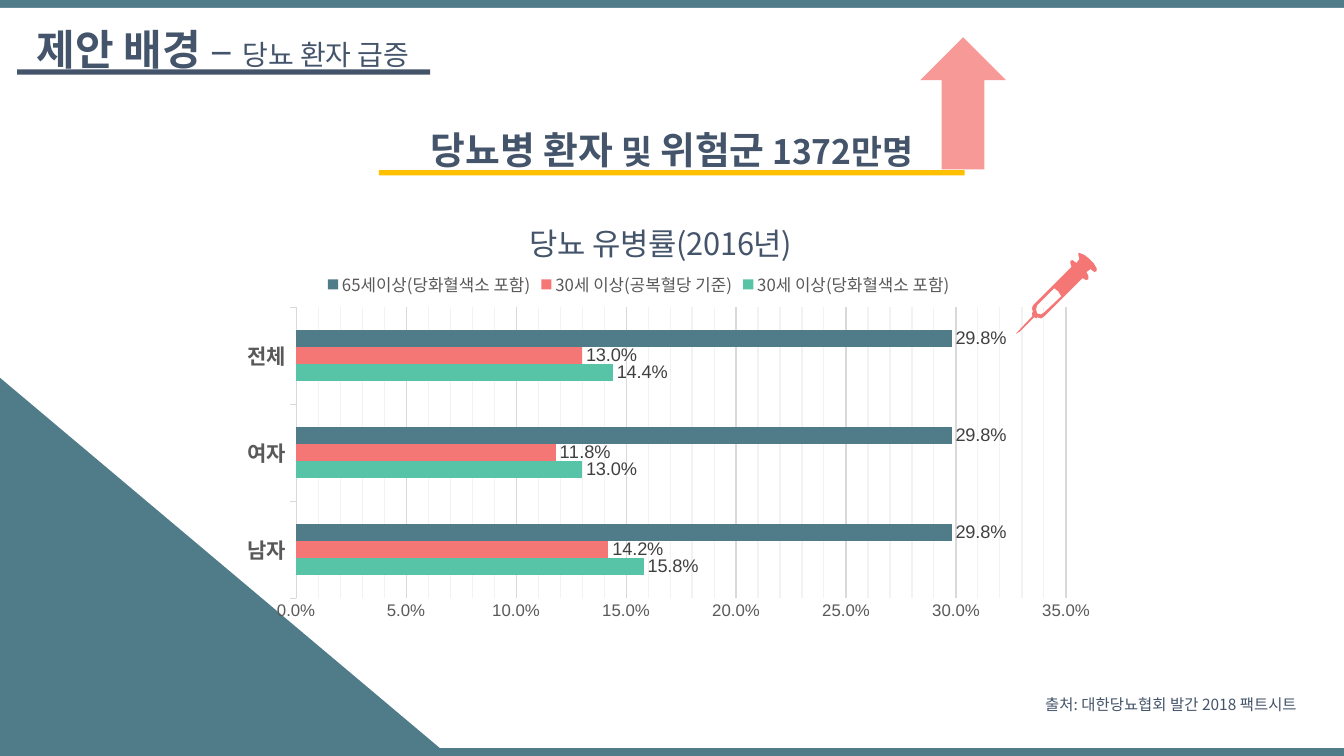
from copy import deepcopy

from lxml import etree
from pptx import Presentation
from pptx.chart.data import CategoryChartData
from pptx.dml.color import RGBColor
from pptx.enum.chart import (XL_CHART_TYPE, XL_LABEL_POSITION,
                             XL_LEGEND_POSITION, XL_TICK_MARK)
from pptx.enum.shapes import MSO_SHAPE
from pptx.enum.text import MSO_ANCHOR, MSO_AUTO_SIZE, PP_ALIGN
from pptx.oxml.ns import qn
from pptx.util import Cm, Pt

RECT, TRIANGLE, ARROW = MSO_SHAPE.RECTANGLE, MSO_SHAPE.ISOSCELES_TRIANGLE, MSO_SHAPE.UP_ARROW
BARS = XL_CHART_TYPE.BAR_CLUSTERED
OUT_END = XL_LABEL_POSITION.OUTSIDE_END
TOP = XL_LEGEND_POSITION.TOP
NO_TICK, OUT_TICK = XL_TICK_MARK.NONE, XL_TICK_MARK.OUTSIDE
MIDDLE, CENTER, NO_FIT = MSO_ANCHOR.MIDDLE, PP_ALIGN.CENTER, MSO_AUTO_SIZE.NONE

KOREAN, LATIN = "Noto Sans CJK KR", "Arial"
TEAL, NAVY, CORAL, MINT, GOLD = "507C89", "44546A", "F47775", "57C3A7", "FFC000"
WHITE, GRAY, DARK, GRID, FAINT = "FFFFFF", "595959", "404040", "D9D9D9", "F2F2F2"

GROUPS = ["남자", "여자", "전체"]
RATES = [
    ("30세 이상(당화혈색소 포함)", [0.158, 0.13, 0.144], MINT),
    ("30세 이상(공복혈당 기준)", [0.142, 0.118, 0.13], CORAL),
    ("65세이상(당화혈색소 포함)", [0.298, 0.298, 0.298], TEAL),
]

# Syringe outlines, in units of Cm(0.0254)
WINDOW = [(1046, 286), (1050, 289), (1053, 294), (1036, 310), (1033, 312),
          (1029, 311), (1027.5, 307), (1029, 303), (1045, 287)]
BODY = [(1071, 251), (1070, 251), (1069.5, 253), (1071, 257), (1068, 261),
        (1064.5, 258.5), (1062, 259), (1061.5, 261), (1063, 264), (1063, 265),
        (1025, 303), (1023.5, 306), (1025, 310), (1024, 310), (1023.5, 311.5),
        (1024, 313), (1025, 313), (1008, 331), (1012, 329), (1026, 315),
        (1027, 315), (1028, 316), (1029, 315), (1030, 315), (1033, 315.5),
        (1036, 314), (1074, 276), (1078, 277.5), (1080, 277), (1080.5, 274.5),
        (1078, 270), (1082, 267), (1086, 269.5), (1088, 269), (1088, 266),
        (1085, 261), (1081, 257), (1076, 253)]


def paint(fill, color):
    fill.solid()
    fill.fore_color.rgb = RGBColor.from_string(color)


def style(font, size, color, face=KOREAN, bold=False):
    font.size, font.bold, font.name = Pt(size), bold, face
    paint(font.fill, color)
    east = etree.Element(qn("a:ea"), typeface=face)
    font._rPr.find(qn("a:latin")).addnext(east)


def finish(shape, color):
    paint(shape.fill, color)
    shape.line.fill.background()
    shape.shadow.inherit = False
    return shape


def block(slide, kind, box, color):
    return finish(slide.shapes.add_shape(kind, *map(Cm, box)), color)


def write(shape, box, parts):
    """Centred line made of (text, size, bold) parts."""
    shape.left, shape.top, shape.width, shape.height = map(Cm, box)
    frame = shape.text_frame
    frame.word_wrap, frame.auto_size = True, NO_FIT
    frame.vertical_anchor = MIDDLE
    line = frame.paragraphs[0]
    line.alignment = CENTER
    for text, size, bold in parts:
        run = line.add_run()
        run.text = text
        style(run.font, size, NAVY, bold=bold)


def label(slide, box, parts):
    write(slide.shapes.add_textbox(*map(Cm, box)), box, parts)


def place(node, index, inner=False, **spots):
    """Fix a chart part at fractions of the chart area."""
    for old in node.findall(qn("c:layout")):
        node.remove(old)
    layout = etree.Element(qn("c:layout"))
    manual = etree.SubElement(layout, qn("c:manualLayout"))
    if inner:
        etree.SubElement(manual, qn("c:layoutTarget"), val="inner")
    for mode in ("xMode", "yMode"):
        etree.SubElement(manual, qn("c:" + mode), val="edge")
    for name, value in spots.items():
        etree.SubElement(manual, qn("c:" + name), val=str(value))
    node.insert(index, layout)


def rule(line, color):
    line.width = Pt(0.75)
    paint(line.fill, color)


def graph(slide, box):
    data = CategoryChartData(number_format="0.0%")
    data.categories = GROUPS
    for name, values, _ in RATES:
        data.add_series(name, values)
    chart = slide.shapes.add_chart(BARS, *map(Cm, box), data).chart
    style(chart.font, 10, "000000", LATIN)

    # Title and legend
    chart.has_title = chart.has_legend = True
    frame = chart.chart_title.text_frame
    frame.text = "당뇨 유병률(2016년)"
    style(frame.paragraphs[0].runs[0].font, 22, NAVY)
    legend = chart.legend
    legend.position, legend.include_in_layout = TOP, False
    style(legend.font, 12, GRAY)

    # Bars
    plot = chart.plots[0]
    plot.gap_width, plot.overlap, plot.vary_by_categories = 269, 0, False
    for series, (_, _, color) in zip(plot.series, RATES):
        paint(series.format.fill, color)
        tags = series.data_labels
        tags.show_value, tags.position = True, OUT_END
        tags.number_format, tags.number_format_is_linked = "0.0%", False
        style(tags.font, 13, DARK, LATIN)

    # Axes
    side, base = chart.category_axis, chart.value_axis
    side.major_tick_mark = OUT_TICK
    rule(side.format.line, GRID)
    style(side.tick_labels.font, 15, GRAY, bold=True)
    base.minimum_scale, base.maximum_scale = 0, 0.35
    base.major_unit, base.minor_unit = 0.05, 0.01
    base.major_tick_mark = NO_TICK
    base.has_major_gridlines = base.has_minor_gridlines = True
    rule(base.major_gridlines.format.line, GRID)
    base.format.line.fill.background()
    base.tick_labels.number_format = "0.0%"
    base.tick_labels.number_format_is_linked = False
    style(base.tick_labels.font, 12, GRAY, LATIN)

    # Minor gridlines: the major ones in a fainter colour
    area = chart._chartSpace.find(".//" + qn("c:plotArea"))
    major = area.find(".//" + qn("c:majorGridlines"))
    minor = area.find(".//" + qn("c:minorGridlines"))
    minor.append(deepcopy(major.find(qn("c:spPr"))))
    minor.find(".//" + qn("a:srgbClr")).set("val", FAINT)

    # Layout
    place(chart.chart_title._element, 1, x=0.33, y=0.05)
    place(legend._element, 1, x=0.1, y=0.18)
    place(area, 0, True, x=0.07, y=0.27, w=0.88, h=0.66)


def needle(slide):
    pen = slide.shapes.build_freeform(*WINDOW[0], scale=Cm(0.0254))
    pen.add_line_segments(WINDOW[1:])
    pen.move_to(*BODY[0])
    pen.add_line_segments(BODY[1:])
    finish(pen.convert_to_shape(), CORAL)


def main():
    deck = Presentation()
    deck.slide_width, deck.slide_height = Cm(33.87), Cm(19.05)
    slide = deck.slides.add_slide(deck.slide_layouts[5])
    paint(slide.background.fill, TEAL)

    # Backdrop
    block(slide, RECT, (0, 0.2, 33.87, 18.65), WHITE)
    wedge = block(slide, TRIANGLE, (0, 9.52, 11.25, 9.47), TEAL)
    wedge.adjustments[0] = 0

    # Chart and source
    graph(slide, (5.92, 4.75, 22.05, 11.1))
    label(slide, (25.7, 17.3, 7.62, 0.89),
          [("출처: 대한당뇨협회 발간 2018 팩트시트", 11, False)])

    # Key figure
    label(slide, (4.01, 2.74, 25.86, 2.03),
          [("당뇨병 환자 ", 27, True), ("및 ", 24, True),
           ("위험군", 27, True), (" 1372만명", 24, True)])
    arrow = block(slide, ARROW, (23.19, 0.94, 2.16, 3.33), CORAL)
    tint = arrow._element.spPr.find(".//" + qn("a:srgbClr"))
    etree.SubElement(tint, qn("a:alpha"), val="75000")

    # Title, raised above the backdrop
    head = slide.shapes.title
    write(head, (0, 0.2, 11.25, 2.03),
          [("제안 배경 ", 30, True), ("– ", 30, False), ("당뇨 환자 급증", 20, False)])
    head._element.getparent().append(head._element)
    block(slide, RECT, (0.43, 1.75, 10.41, 0.13), NAVY)

    needle(slide)
    block(slide, RECT, (9.55, 4.29, 14.76, 0.13), GOLD)
    deck.save("out.pptx")


if __name__ == "__main__":
    main()
